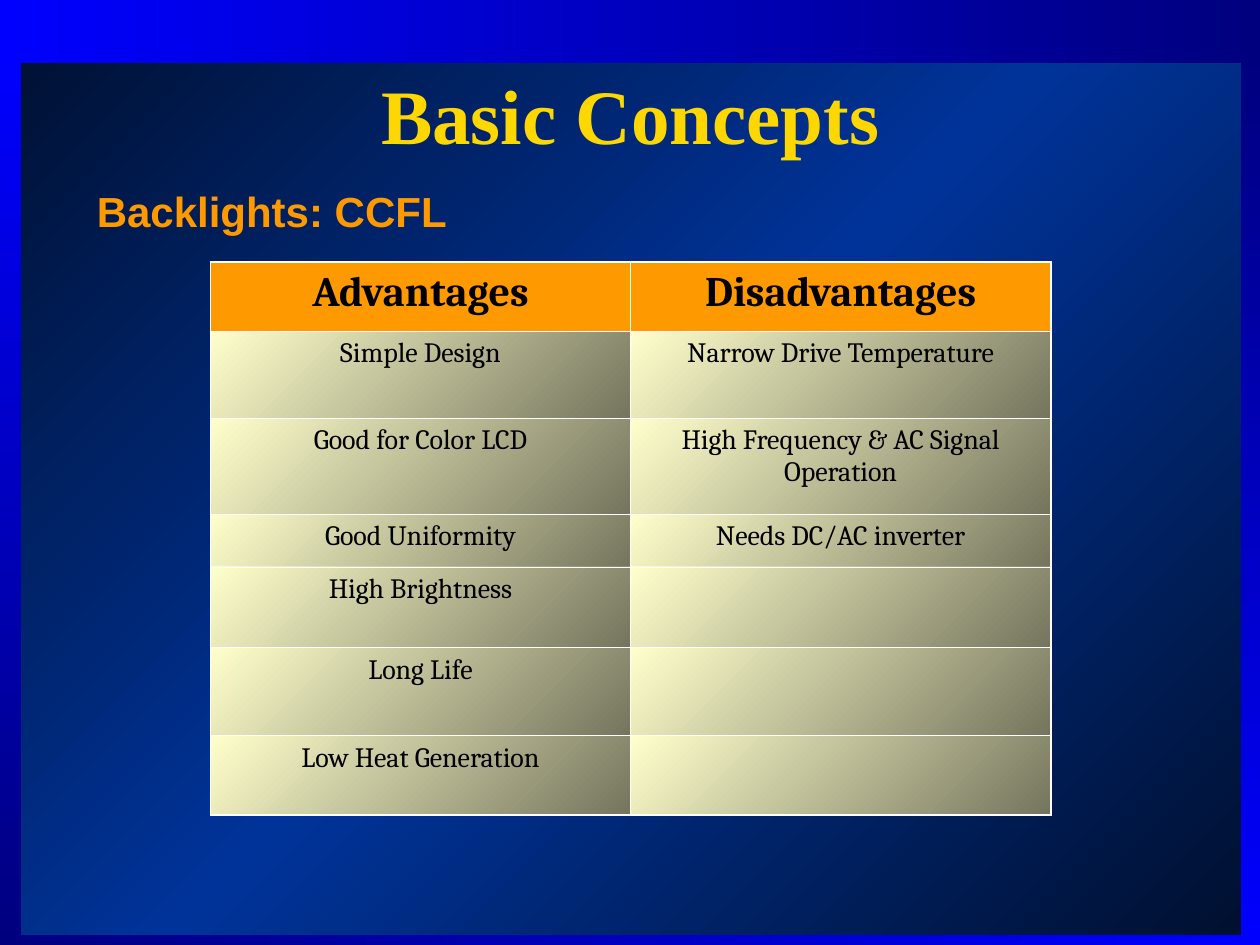
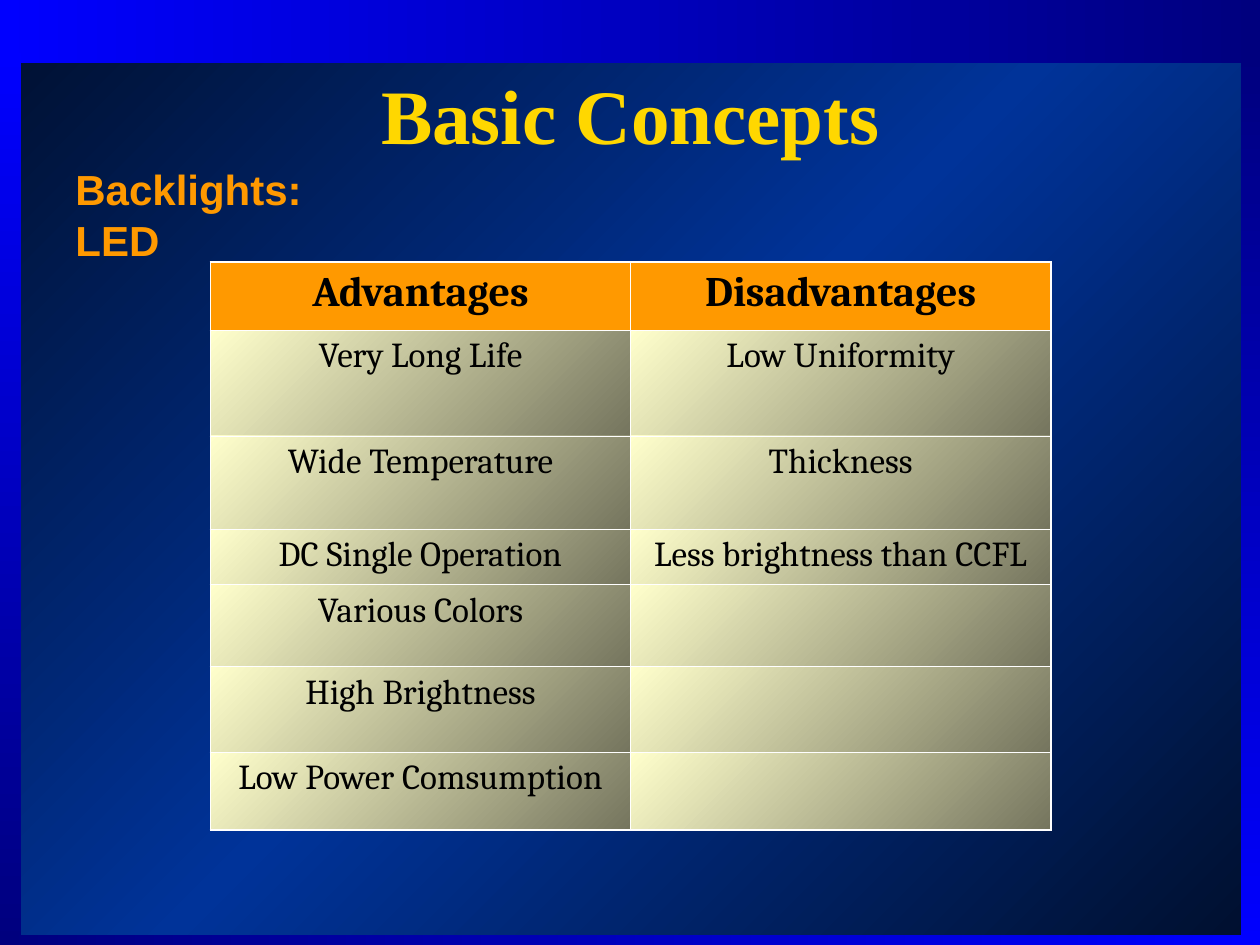
from copy import deepcopy
from dataclasses import dataclass

from lxml import etree
from pptx import Presentation
from pptx.dml.color import RGBColor
from pptx.enum.shapes import MSO_SHAPE
from pptx.enum.text import MSO_ANCHOR, PP_ALIGN
from pptx.oxml.ns import qn
from pptx.util import Inches, Pt

RECTANGLE = MSO_SHAPE.RECTANGLE
LEFT, CENTER = PP_ALIGN.LEFT, PP_ALIGN.CENTER
TOP, MIDDLE = MSO_ANCHOR.TOP, MSO_ANCHOR.MIDDLE


@dataclass(frozen=True)
class Theme:
    navy: str = "000F2D"
    royal: str = "003399"
    band_dark: str = "00007E"
    band_bright: str = "0000FF"
    gold: str = "FFD700"
    orange: str = "FF9900"
    cream: str = "FFFFCC"
    olive: str = "75755E"
    ink: str = "000000"
    rule: str = "FFFFFF"
    title_font: str = "Times New Roman"
    subtitle_font: str = "Arial"
    table_font: str = "Cambria"
    title_size: int = 44
    heading_size: int = 24
    outer_rule: float = 1.08
    inner_rule: float = 0.45


class Deck:
    """Holds the style and the current slide."""

    def __init__(self, theme):
        self.theme = theme
        self.prs = Presentation()
        self.prs.slide_width = Inches(10)
        self.prs.slide_height = Inches(7.5)
        self.slide = None

    def gradient(self, fill, start, end, angle):
        """Two-colour gradient; the angle runs counter-clockwise."""
        fill.gradient()
        fill.gradient_angle = angle
        for stop, color in zip(fill.gradient_stops, (start, end)):
            stop.color.rgb = RGBColor.from_string(color)

    def new_slide(self):
        self.slide = self.prs.slides.add_slide(self.prs.slide_layouts[6])
        self.background()
        self.frame()
        self.text("Basic Concepts", (0.33, 0.58, 9.35, 0.65), self.theme.title_font,
                  self.theme.title_size, self.theme.gold, CENTER, MIDDLE)

    def background(self):
        """Dark corners with a bright diagonal through the middle."""
        t = self.theme
        self.gradient(self.slide.background.fill, t.navy, t.royal, 135)
        stops = self.slide.element.xpath(".//a:gsLst")[0]
        last_stop = deepcopy(stops[0])
        stops[1].set("pos", "50000")
        last_stop.set("pos", "100000")
        stops.append(last_stop)

    def frame(self):
        dark, bright = self.theme.band_dark, self.theme.band_bright
        self.band((0, 0, 10, 0.5), dark, bright, 180)
        self.band((0, 0.42, 0.17, 7.08), bright, dark, 270)
        self.band((9.85, 0.42, 0.15, 7.08), dark, bright, 270)
        self.band((0, 7.42, 9.93, 0.08), bright, dark, 180)

    def band(self, box, start, end, angle):
        band = self.slide.shapes.add_shape(RECTANGLE, *map(Inches, box))
        band.shadow.inherit = False
        band.line.fill.background()
        self.gradient(band.fill, start, end, angle)

    def style(self, paragraph, font, size, color, bold, align):
        paragraph.alignment = align
        for run in paragraph.runs:
            run.font.name = font
            run.font.size = Pt(size)
            run.font.bold = bold
            run.font.color.rgb = RGBColor.from_string(color)

    def text(self, words, box, font, size, color, align=LEFT, anchor=TOP, wrap=True):
        frame = self.slide.shapes.add_textbox(*map(Inches, box)).text_frame
        frame.word_wrap = wrap
        frame.vertical_anchor = anchor
        frame.text = words
        self.style(frame.paragraphs[0], font, size, color, True, align)

    def subtitle(self, words, box, wrap=True):
        t = self.theme
        self.text(words, box, t.subtitle_font, t.heading_size, t.orange, wrap=wrap)

    def borders(self, cell, outer_sides):
        properties = cell._tc.get_or_add_tcPr()
        for side in "LRTB":
            width = self.theme.outer_rule if side in outer_sides else self.theme.inner_rule
            line = etree.SubElement(properties, qn(f"a:ln{side}"), w=str(Pt(width)))
            fill = etree.SubElement(line, qn("a:solidFill"))
            etree.SubElement(fill, qn("a:srgbClr"), val=self.theme.rule)

    def comparison(self, advantages, disadvantages, row_heights, body_size):
        t = self.theme
        columns = (["Advantages", *advantages], ["Disadvantages", *disadvantages])
        last_row = len(row_heights) - 1
        table = self.slide.shapes.add_table(
            len(row_heights), len(columns), Inches(1.67), Inches(2.08),
            Inches(6.67), Inches(sum(row_heights))).table
        table.first_row = table.horz_banding = False
        for row, height in zip(table.rows, row_heights):
            row.height = Inches(height)

        for c, entries in enumerate(columns):
            for r in range(len(row_heights)):
                cell = table.cell(r, c)
                heading = r == 0
                self.borders(cell, "LR"[c] + "T" * heading + "B" * (r == last_row))
                if heading:
                    cell.fill.solid()
                    cell.fill.fore_color.rgb = RGBColor.from_string(t.orange)
                else:
                    self.gradient(cell.fill, t.olive, t.cream, 135)
                if r < len(entries):
                    size = t.heading_size if heading else body_size
                    cell.text_frame.text = entries[r]
                    paragraph = cell.text_frame.paragraphs[0]
                    paragraph.space_before = Pt(size / 4)
                    self.style(paragraph, t.table_font, size, t.ink, heading, CENTER)


def main():
    deck = Deck(Theme())

    # CCFL backlights
    deck.new_slide()
    deck.subtitle("Backlights: CCFL", (0.67, 1.42, 8.5, 4.5))
    deck.comparison(
        ["Simple Design", "Good for Color LCD", "Good Uniformity",
         "High Brightness", "Long Life", "Low Heat Generation"],
        ["Narrow Drive Temperature", "High Frequency & AC Signal Operation",
         "Needs DC/AC inverter"],
        [0.55, 0.69, 0.76, 0.42, 0.64, 0.7, 0.63], body_size=16)

    # LED backlights
    deck.new_slide()
    deck.comparison(
        ["Very Long Life", "Wide Temperature", "DC Single Operation",
         "Various Colors", "High Brightness", "Low Power Comsumption"],
        ["Low Uniformity", "Thickness", "Less brightness than CCFL"],
        [0.54, 0.84, 0.74, 0.44, 0.65, 0.68, 0.62], body_size=20)
    deck.subtitle("Backlights: LED", (0.5, 1.25, 2.75, 0.5), wrap=False)

    deck.prs.save("out.pptx")


if __name__ == "__main__":
    main()
